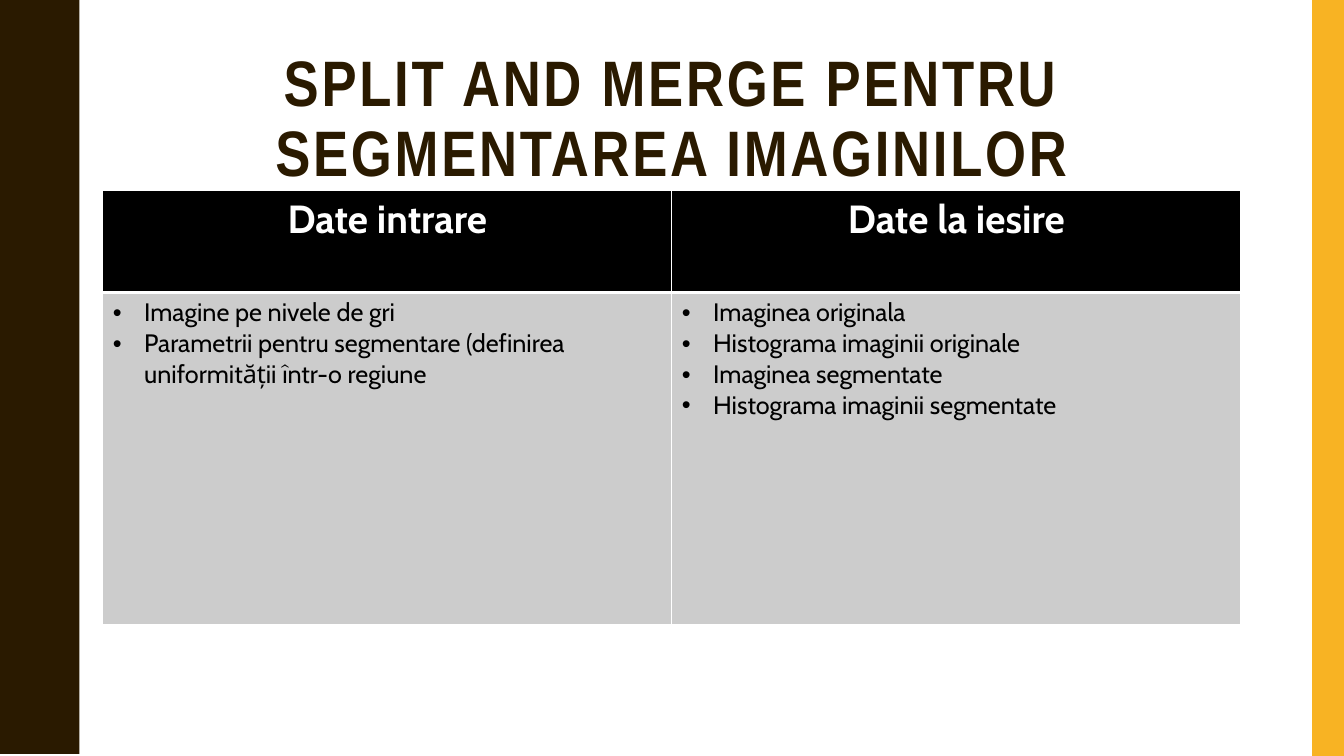
import pptx
import pptx.dml.color
import pptx.enum.shapes
import pptx.enum.text
import pptx.oxml
import pptx.oxml.ns
import pptx.util

Cm = pptx.util.Cm
Pt = pptx.util.Pt
Align = pptx.enum.text.PP_ALIGN

COLORS = {
    "brown": "2A1A00",
    "amber": "F8B323",
    "black": "000000",
    "white": "FFFFFF",
    "gray": "CCCCCC",
}
SLIDE_WIDTH, SLIDE_HEIGHT = 33.87, 19.05
HALF_WAVES = 10
HALF_WAVE_HEIGHT = SLIDE_HEIGHT / HALF_WAVES
# Edge of one half wave, from trough to crest, as (x, y) in centimetres.
HALF_WAVE = [
    (1.98, 0), (1.98, 0.18), (2.01, 0.36), (2.03, 0.51), (2.06, 0.64),
    (2.11, 0.74), (2.16, 0.84), (2.21, 0.95), (2.26, 1.07), (2.31, 1.17),
    (2.36, 1.27), (2.41, 1.4), (2.44, 1.55), (2.46, 1.73),
]
HEADERS = ["Date intrare", "Date la iesire"]
BULLETS = [
    [
        "Imagine pe nivele de gri",
        "Parametrii pentru segmentare (definirea uniformității într-o regiune",
    ],
    [
        "Imaginea originala",
        "Histograma imaginii originale",
        "Imaginea segmentate",
        "Histograma imaginii segmentate",
    ],
]


def rgb(name):
    return pptx.dml.color.RGBColor.from_string(COLORS[name])


def paint(shape, color):
    shape.shadow.inherit = False
    shape.fill.solid()
    shape.fill.fore_color.rgb = rgb(color)
    shape.line.fill.background()


def format_runs(paragraph, font, size, color, bold):
    for run in paragraph.runs:
        run.font.name = font
        run.font.size = Pt(size)
        run.font.color.rgb = rgb(color)
        run.font.bold = bold


def wave_edge():
    """Return the wavy edge from top to bottom, mirroring every second half wave."""
    points = []
    crest = HALF_WAVE[-1][0]
    for index in range(HALF_WAVES):
        top = index * HALF_WAVE_HEIGHT
        if index % 2 == 0:
            points += [(x, top + y) for x, y in HALF_WAVE]
        else:
            points.append((crest, top))
            points += [(x, top + HALF_WAVE_HEIGHT - y)
                       for x, y in reversed(HALF_WAVE[1:])]
    return points + [(HALF_WAVE[0][0], SLIDE_HEIGHT)]


def add_wave_band(slide):
    builder = slide.shapes.build_freeform(0, 0, scale=Cm(1))
    builder.add_line_segments(wave_edge() + [(0, SLIDE_HEIGHT)], close=True)
    paint(builder.convert_to_shape(), "brown")


def add_side_bar(slide):
    bar = slide.shapes.add_shape(
        pptx.enum.shapes.MSO_SHAPE.RECTANGLE,
        Cm(33.07), 0, Cm(0.8), Cm(SLIDE_HEIGHT))
    paint(bar, "amber")


def add_title(slide, text):
    box = slide.shapes.add_textbox(Cm(2.06), Cm(1.14), Cm(29.74), Cm(3.81))
    frame = box.text_frame
    frame.word_wrap = True
    frame.vertical_anchor = pptx.enum.text.MSO_ANCHOR.MIDDLE
    frame.text = text
    paragraph = frame.paragraphs[0]
    paragraph.alignment = Align.CENTER
    paragraph.line_spacing = 0.9
    format_runs(paragraph, "Arial Narrow", 45.9, "brown", True)
    for run in paragraph.runs:
        run.font._element.set("spc", "200")


def set_borders(cell, widths):
    """Draw white borders; widths maps the sides L, R, T and B to points."""
    properties = cell._tc.get_or_add_tcPr()
    for position, side in enumerate("LRTB"):
        border = pptx.oxml.parse_xml(
            f'<a:ln{side} {pptx.oxml.ns.nsdecls("a")} w="{Pt(widths[side])}">'
            f'<a:solidFill><a:srgbClr val="{COLORS["white"]}"/></a:solidFill>'
            f'</a:ln{side}>')
        properties.insert(position, border)


def add_bullet(paragraph):
    properties = paragraph._p.get_or_add_pPr()
    properties.set("marL", str(Cm(0.79)))
    properties.set("indent", str(Cm(-0.79)))
    for xml in ('<a:buFont {} typeface="Arial"/>', '<a:buChar {} char="•"/>'):
        properties.append(
            pptx.oxml.parse_xml(xml.format(pptx.oxml.ns.nsdecls("a"))))


def fill_cell(cell, lines, color, borders):
    cell.fill.solid()
    cell.fill.fore_color.rgb = rgb(color)
    set_borders(cell, borders)
    cell.text_frame.text = "\n".join(lines)


def add_data_table(slide):
    table = slide.shapes.add_table(
        2, len(HEADERS), Cm(2.59), Cm(4.8), Cm(28.68), Cm(10.93)).table
    table.rows[0].height = Cm(2.57)
    table.rows[1].height = Cm(8.36)
    for index, (header, bullets) in enumerate(zip(HEADERS, BULLETS)):
        table.columns[index].width = Cm(14.34)
        head, body = table.cell(0, index), table.cell(1, index)
        fill_cell(head, [header], "black", {"L": 1, "R": 1, "T": 1, "B": 3})
        paragraph = head.text_frame.paragraphs[0]
        paragraph.alignment = Align.CENTER
        format_runs(paragraph, "Cabin", 28, "white", True)
        fill_cell(body, bullets, "gray", {"L": 1, "R": 1, "T": 3, "B": 1})
        for paragraph in body.text_frame.paragraphs:
            add_bullet(paragraph)
            format_runs(paragraph, "Cabin", 18, "black", False)


def main():
    presentation = pptx.Presentation()
    presentation.slide_width = Cm(SLIDE_WIDTH)
    presentation.slide_height = Cm(SLIDE_HEIGHT)
    slide = presentation.slides.add_slide(presentation.slide_layouts[6])
    add_wave_band(slide)
    add_side_bar(slide)
    add_title(slide, "SPLIT AND MERGE PENTRU SEGMENTAREA IMAGINILOR")
    add_data_table(slide)
    presentation.save("out.pptx")


if __name__ == "__main__":
    main()
